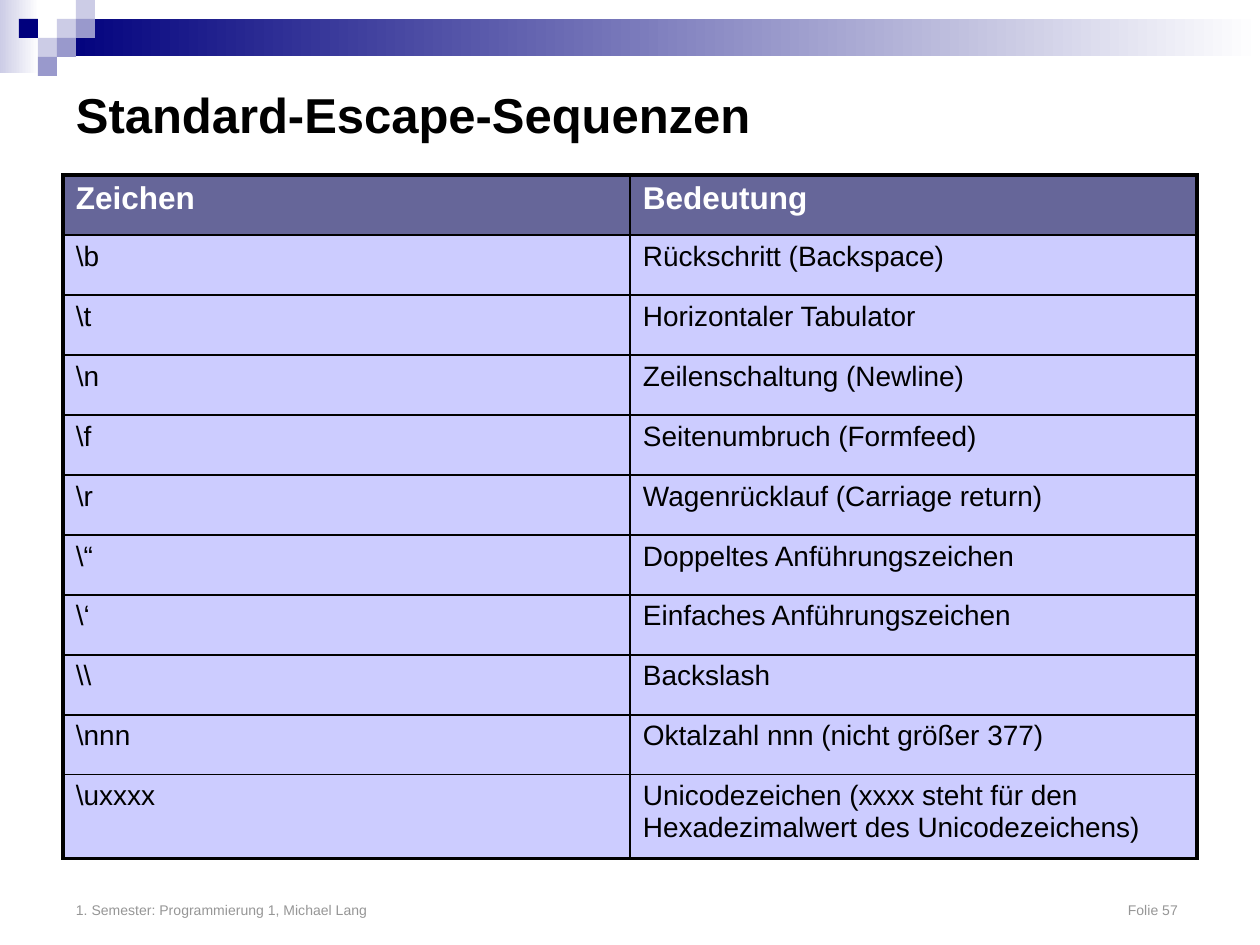
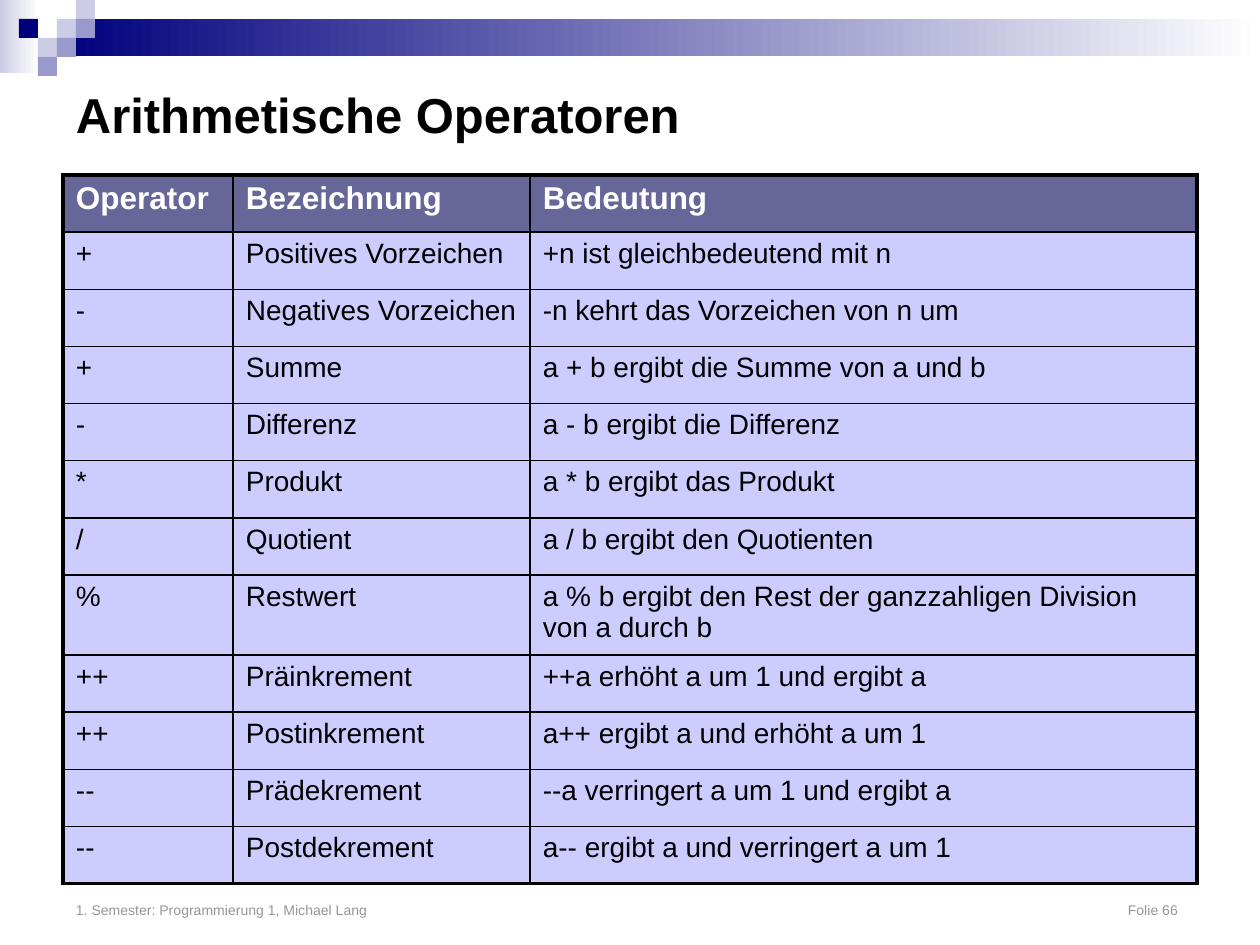
from lxml.etree import SubElement
from pptx import Presentation
from pptx.dml.color import RGBColor
from pptx.enum.shapes import MSO_SHAPE
from pptx.enum.text import MSO_ANCHOR as Anchor
from pptx.oxml.ns import qn
from pptx.util import Pt

EMU_PER_PX = 914400 / 126
SLIDE_SIZE = (1260, 945)
FONT = "Arial"

BLACK, WHITE, GRAY = "000000", "FFFFFF", "969696"
NAVY, LAVENDER, PERIWINKLE = "00007D", "CCCCE6", "9999CC"
HEADER_FILL, BODY_FILL = "666699", "CCCCFF"

TITLE_BOX = (63, 63, 1134, 102)
FOOTER_BOX = (63, 861, 1134, 63)
TABLE_LEFT, TABLE_TOP = 63, 175
PAGE_NUMBER_TAB = 1102
FOOTER_TEXT = "1. Semester: Programmierung 1, Michael Lang"
INSET_X, INSET_Y = 13, 6
OUTER_LINE, INNER_LINE = 2.25, 1

SQUARE = 19
MOSAIC = [  # column, row, colour
    (3, 1, LAVENDER), (4, 0, LAVENDER), (4, 1, PERIWINKLE), (2, 2, LAVENDER),
    (1, 1, NAVY), (3, 2, PERIWINKLE), (2, 3, PERIWINKLE),
]

ESCAPE_ROWS = [
    ("Zeichen", "Bedeutung"),
    (r"\b", "Rückschritt (Backspace)"),
    (r"\t", "Horizontaler Tabulator"),
    (r"\n", "Zeilenschaltung (Newline)"),
    (r"\f", "Seitenumbruch (Formfeed)"),
    (r"\r", "Wagenrücklauf (Carriage return)"),
    (r"\“", "Doppeltes Anführungszeichen"),
    (r"\‘", "Einfaches Anführungszeichen"),
    (r"\\", "Backslash"),
    (r"\nnn", "Oktalzahl nnn (nicht größer 377)"),
    (r"\uxxxx", "Unicodezeichen (xxxx steht für den Hexadezimalwert des Unicodezeichens)"),
]
OPERATOR_ROWS = [
    ("Operator", "Bezeichnung", "Bedeutung"),
    ("+", "Positives Vorzeichen", "+n ist gleichbedeutend mit n"),
    ("-", "Negatives Vorzeichen", "-n kehrt das Vorzeichen von n um"),
    ("+", "Summe", "a + b ergibt die Summe von a und b"),
    ("-", "Differenz", "a - b ergibt die Differenz"),
    ("*", "Produkt", "a * b ergibt das Produkt"),
    ("/", "Quotient", "a / b ergibt den Quotienten"),
    ("%", "Restwert", "a % b ergibt den Rest der ganzzahligen Division von a durch b"),
    ("++", "Präinkrement", "++a erhöht a um 1 und ergibt a"),
    ("++", "Postinkrement", "a++ ergibt a und erhöht a um 1"),
    ("--", "Prädekrement", "--a verringert a um 1 und ergibt a"),
    ("--", "Postdekrement", "a-- ergibt a und verringert a um 1"),
]


def px(length):
    return round(length * EMU_PER_PX)


def emu_box(box):
    return [px(length) for length in box]


def color(hex_string):
    return RGBColor.from_string(hex_string)


def add_run(paragraph, text, size, hex_color, bold=False):
    run = paragraph.add_run()
    run.text = text
    font = run.font
    font.name, font.size, font.bold = FONT, Pt(size), bold
    font.color.rgb = color(hex_color)


def set_insets(target):
    """Give a text frame or a table cell the shared margins."""
    target.margin_left = target.margin_right = px(INSET_X)
    target.margin_top = target.margin_bottom = px(INSET_Y)


def add_text_box(slide, box, anchor):
    """Add an empty text box and return its first paragraph."""
    frame = slide.shapes.add_textbox(*emu_box(box)).text_frame
    frame.word_wrap = True
    frame.vertical_anchor = anchor
    set_insets(frame)
    return frame.paragraphs[0]


def add_rectangle(shapes, box, *hex_colors):
    """One colour gives a solid fill, two a gradient from left to right."""
    shape = shapes.add_shape(MSO_SHAPE.RECTANGLE, *emu_box(box))
    shape.shadow.inherit = False
    shape.line.fill.background()
    if len(hex_colors) == 1:
        shape.fill.solid()
        shape.fill.fore_color.rgb = color(hex_colors[0])
    else:
        shape.fill.gradient()
        shape.fill.gradient_angle = 0
        for stop, hex_color in zip(shape.fill.gradient_stops, hex_colors):
            stop.color.rgb = color(hex_color)


def add_header_band(slide):
    shapes = slide.shapes.add_group_shape().shapes
    add_rectangle(shapes, (0, 0, 39, 73), LAVENDER, WHITE)
    add_rectangle(shapes, (57, 19, 1203, 37), NAVY, WHITE)
    for column, row, hex_color in MOSAIC:
        add_rectangle(shapes, (column * SQUARE, row * SQUARE, SQUARE, SQUARE), hex_color)


def add_title(slide, text):
    add_run(add_text_box(slide, TITLE_BOX, Anchor.MIDDLE), text, 28, BLACK, bold=True)


def add_footer(slide, page):
    paragraph = add_text_box(slide, FOOTER_BOX, Anchor.BOTTOM)
    tabs = SubElement(paragraph._p.get_or_add_pPr(), qn("a:tabLst"))
    SubElement(tabs, qn("a:tab"), pos=str(px(PAGE_NUMBER_TAB)), algn="r")
    add_run(paragraph, f"{FOOTER_TEXT}\tFolie {page}", 8, GRAY)


def set_borders(cell, outer_sides):
    """Draw all four cell borders, thicker on the table's outer sides."""
    properties = cell._tc.get_or_add_tcPr()
    for side in "LRTB":
        width = OUTER_LINE if side in outer_sides else INNER_LINE
        line = SubElement(properties, qn(f"a:ln{side}"), w=str(Pt(width)))
        fill = SubElement(line, qn("a:solidFill"))
        SubElement(fill, qn("a:srgbClr"), val=BLACK)


def fill_cell(cell, text, is_header):
    cell.fill.solid()
    cell.fill.fore_color.rgb = color(HEADER_FILL if is_header else BODY_FILL)
    set_insets(cell)
    size, hex_color = (18, WHITE) if is_header else (16, BLACK)
    add_run(cell.text_frame.paragraphs[0], text, size, hex_color, bold=is_header)


def add_grid_table(slide, rows, column_widths, height, tall_row, tall_height):
    """Share the height equally among all rows but the tall one."""
    last_row, last_column = len(rows) - 1, len(column_widths) - 1
    box = (TABLE_LEFT, TABLE_TOP, sum(column_widths), height)
    table = slide.shapes.add_table(len(rows), len(column_widths), *emu_box(box)).table
    table.horz_banding = False
    for column, width in zip(table.columns, column_widths):
        column.width = px(width)
    row_height = (height - tall_height) / last_row
    for i, texts in enumerate(rows):
        table.rows[i].height = px(tall_height if i == tall_row else row_height)
        for j, text in enumerate(texts):
            edges = {"T": i == 0, "B": i == last_row, "L": j == 0, "R": j == last_column}
            cell = table.cell(i, j)
            set_borders(cell, [side for side, is_outer in edges.items() if is_outer])
            fill_cell(cell, text, is_header=i == 0)


def add_table_slide(presentation, title, page, **table_layout):
    slide = presentation.slides.add_slide(presentation.slide_layouts[6])
    add_header_band(slide)
    add_footer(slide, page)
    add_title(slide, title)
    add_grid_table(slide, **table_layout)


def main():
    presentation = Presentation()
    presentation.slide_width, presentation.slide_height = emu_box(SLIDE_SIZE)
    add_table_slide(presentation, "Standard-Escape-Sequenzen", 57, rows=ESCAPE_ROWS,
                    column_widths=(567, 567), height=684, tall_row=10, tall_height=84)
    add_table_slide(presentation, "Arithmetische Operatoren", 66, rows=OPERATOR_ROWS,
                    column_widths=(170, 297, 667), height=709, tall_row=7, tall_height=80)
    presentation.save("out.pptx")


if __name__ == "__main__":
    main()
